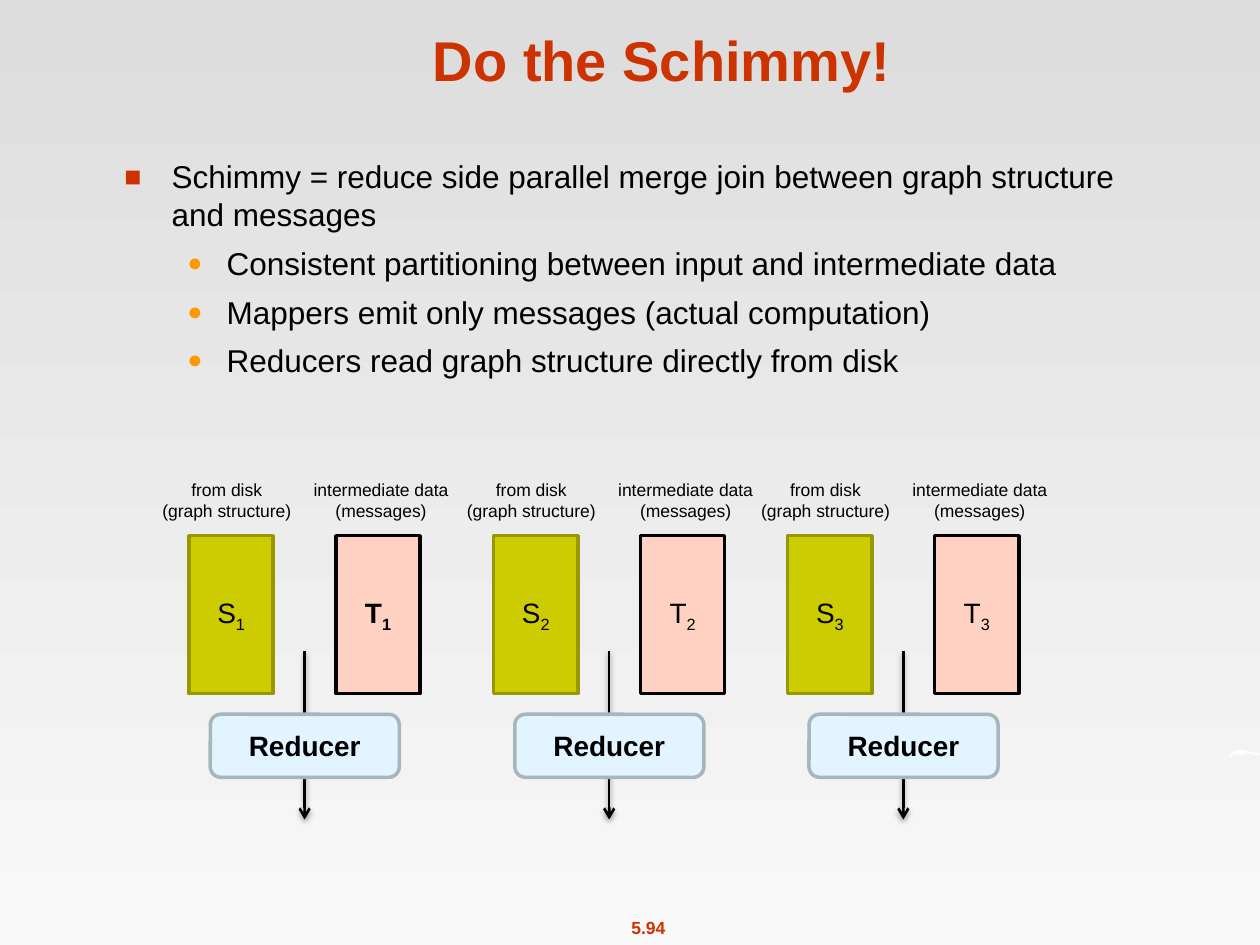
from dataclasses import dataclass

from lxml import etree
from pptx import Presentation
from pptx.dml.color import RGBColor
from pptx.enum import shapes as kinds, text as styles
from pptx.oxml import ns
from pptx.util import Cm, Pt


@dataclass(frozen=True)
class Theme:
    font: str = "Arial"
    accent: str = "CC3300"
    ink: str = "000000"
    bullet: str = "FF9900"
    sky: tuple = ("DDDDDD", "F8F8F8")
    structure: tuple = ("CCCC00", "979700")  # fill, line
    messages: tuple = ("FFD1C2", "000000")
    reducer: tuple = ("E2F4FF", "A7B5BD")
    swoosh: str = "FFFFFF"
    title_size: int = 32
    body_size: int = 18
    box_size: int = 16
    small_size: int = 10


THEME = Theme()


def color(value):
    return RGBColor.from_string(value)


def add_xml(parent, tag, **attributes):
    return etree.SubElement(parent, ns.qn(tag), attributes)


def write(shape, *lines, size, ink=THEME.ink, bold=False, subscript=None,
          align=styles.PP_ALIGN.CENTER, anchor=styles.MSO_ANCHOR.TOP, wrap=True):
    """Fill a shape with one paragraph for each line and return the paragraphs."""
    frame = shape.text_frame
    frame.word_wrap = wrap
    frame.vertical_anchor = anchor
    if not wrap:
        frame.auto_size = styles.MSO_AUTO_SIZE.SHAPE_TO_FIT_TEXT
    for number, line in enumerate(lines):
        paragraph = frame.add_paragraph() if number else frame.paragraphs[0]
        paragraph.alignment = align
        for part in filter(None, (line, subscript)):
            run = paragraph.add_run()
            run.text = part
            run.font.name = THEME.font
            run.font.size = Pt(size)
            run.font.bold = bold
            run.font.color.rgb = color(ink)
            if part is subscript:
                run.font._element.set("baseline", "-25000")
    return frame.paragraphs


def add_text(slide, box, *lines, **style):
    return write(slide.shapes.add_textbox(*map(Cm, box)), *lines, **style)


def add_box(slide, kind, box, colors, label, **style):
    shape = slide.shapes.add_shape(kind, *map(Cm, box))
    shape.shadow.inherit = False
    shape.fill.solid()
    shape.fill.fore_color.rgb = color(colors[0])
    shape.line.color.rgb = color(colors[1])
    shape.line.width = Pt(2)
    write(shape, label, size=THEME.box_size, anchor=styles.MSO_ANCHOR.MIDDLE, **style)


def add_arrow(slide, x, top, bottom):
    arrow = slide.shapes.add_connector(
        kinds.MSO_CONNECTOR.STRAIGHT, Cm(x), Cm(top), Cm(x), Cm(bottom))
    arrow.line.color.rgb = color(THEME.ink)
    arrow.line.width = Pt(1.5)
    add_xml(arrow.line._get_or_add_ln(), "a:tailEnd", type="arrow")
    effects = add_xml(arrow._element.spPr, "a:effectLst")
    shadow = add_xml(effects, "a:outerShdw", blurRad=str(Pt(3.1)), dist=str(Pt(1.6)),
                     dir="5400000", rotWithShape="0")
    shade = add_xml(shadow, "a:srgbClr", val=THEME.ink)
    add_xml(shade, "a:alpha", val="38000")


def set_bullet(paragraph, mark, ink, percent, margin, hang):
    properties = paragraph._p.get_or_add_pPr()
    properties.set("marL", str(Cm(margin)))
    properties.set("indent", str(-Cm(hang)))
    add_xml(add_xml(properties, "a:buClr"), "a:srgbClr", val=ink)
    add_xml(properties, "a:buSzPct", val=str(percent * 1000))
    add_xml(properties, "a:buFont", typeface=THEME.font)
    add_xml(properties, "a:buChar", char=mark)


def draw_backdrop(slide, width, height):
    # Vertical gradient
    fill = slide.background.fill
    fill.gradient()
    fill.gradient_angle = 270
    for stop, value in zip(fill.gradient_stops, THEME.sky):
        stop.color.rgb = color(value)

    # White swoosh at the right edge
    left, top = width - 0.63, 15.12
    outline = [(0, 0.13), (0.05, 0.06), (0.13, 0.02), (0.22, 0), (0.3, 0), (0.4, 0.03),
               (0.52, 0.05), (0.63, 0.08), (0.61, 0.1), (0.55, 0.1), (0.45, 0.08),
               (0.33, 0.05), (0.33, 0.13), (0.25, 0.05), (0.25, 0.13), (0.18, 0.05),
               (0.2, 0.13), (0.13, 0.07), (0.06, 0.1), (0.02, 0.15)]
    points = [(Cm(left + x), Cm(top + y)) for x, y in outline]
    builder = slide.shapes.build_freeform(*points[0])
    builder.add_line_segments(points[1:])
    swoosh = builder.convert_to_shape()
    swoosh.shadow.inherit = False
    swoosh.fill.solid()
    swoosh.fill.fore_color.rgb = color(THEME.swoosh)
    swoosh.line.fill.background()

    # Page number
    add_text(slide, (12.45, height - 0.69, 1.24, 0.69), "5.94", size=THEME.small_size,
             ink=THEME.accent, bold=True, wrap=False)


def draw_bullets(slide, box):
    first, *details = add_text(
        slide, box,
        "Schimmy = reduce side parallel merge join between graph structure and messages",
        "Consistent partitioning between input and intermediate data",
        "Mappers emit only messages (actual computation)",
        "Reducers read graph structure directly from disk",
        size=THEME.body_size, align=styles.PP_ALIGN.LEFT)
    set_bullet(first, "■", THEME.accent, 90, margin=0.95, hang=0.95)
    for paragraph in details:
        paragraph.level = 1
        paragraph.space_before = Pt(6.2)
        set_bullet(paragraph, "●", THEME.bullet, 80, margin=2.06, hang=0.79)


def draw_join(slide, left, top, number, bold_messages):
    """One partition: two inputs side by side, merged by a reducer below."""
    # Offset, name, colours, bold, label width, label shift, label
    inputs = [
        (0, "S", THEME.structure, False, 3.15, -0.09, ("from disk", "(graph structure)")),
        (2.96, "T", THEME.messages, bold_messages, 3.28, 0.06,
         ("intermediate data", "(messages)")),
    ]
    box_width, box_height = 1.7, 3.18
    for offset, name, colors, bold, label_width, shift, label in inputs:
        x = left + offset
        add_box(slide, kinds.MSO_SHAPE.RECTANGLE, (x, top, box_width, box_height),
                colors, name, subscript=str(number), bold=bold)
        label_left = x + (box_width - label_width) / 2 + shift
        add_text(slide, (label_left, top - 1.27, label_width, 1.12), *label,
                 size=THEME.small_size, wrap=False)

    # The arrow runs behind the reducer
    center = left + 2.33
    add_arrow(slide, center, top + 2.33, top + 5.72)
    add_box(slide, kinds.MSO_SHAPE.ROUNDED_RECTANGLE,
            (center - 1.9, top + 3.6, 3.81, 1.27), THEME.reducer, "Reducer", bold=True)


def main():
    width, height = 25.4, 19.05
    presentation = Presentation()
    presentation.slide_width, presentation.slide_height = Cm(width), Cm(height)
    slide = presentation.slides.add_slide(presentation.slide_layouts[6])

    draw_backdrop(slide, width, height)
    add_text(slide, (2.13, 0.3, 22.43, 1.7), "Do the Schimmy!", size=THEME.title_size,
             ink=THEME.accent, bold=True, anchor=styles.MSO_ANCHOR.BOTTOM)
    draw_bullets(slide, (2.26, 3.05, 21.29, 13.61))
    for number, left in enumerate((3.81, 9.95, 15.88), start=1):
        draw_join(slide, left, 10.8, number, bold_messages=number == 1)

    presentation.save("out.pptx")


if __name__ == "__main__":
    main()
